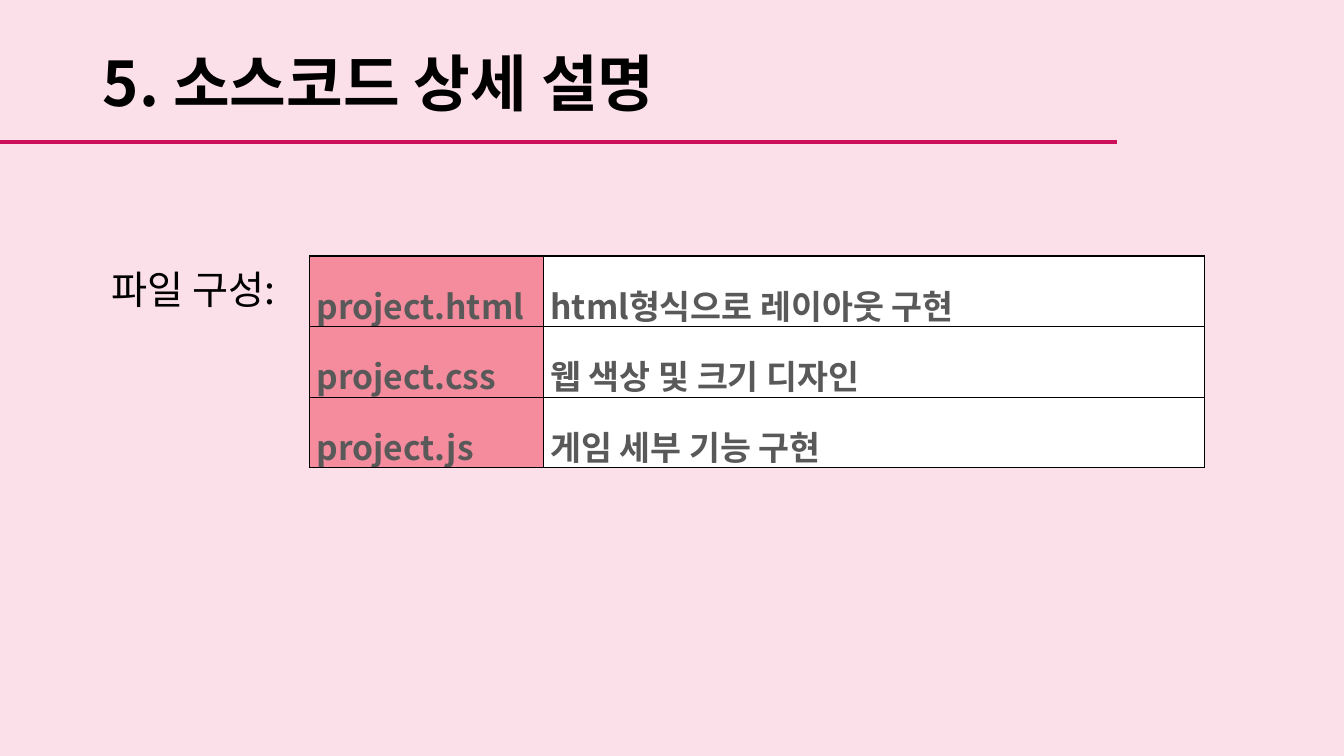
from lxml.etree import SubElement
from pptx import Presentation
from pptx.dml.color import RGBColor
from pptx.enum.shapes import MSO_CONNECTOR
from pptx.enum.text import MSO_ANCHOR
from pptx.oxml.ns import qn
from pptx.util import Inches, Pt

FONT = "Noto Sans CJK KR"
TITLE = "5. 소스코드 상세 설명"
LABEL = "파일 구성:"
FILES = [
    ("project.html", "html형식으로 레이아웃 구현"),
    ("project.css", "웹 색상 및 크기 디자인"),
    ("project.js", "게임 세부 기능 구현"),
]
COLUMN_WIDTHS = (2.32, 6.56)
COLUMN_FILLS = ("F48C9D", "FFFFFF")
ROW_HEIGHT = 0.7


def paint(fill, color):
    fill.solid()
    fill.fore_color.rgb = RGBColor.from_string(color)


def write(frame, text, size, color, bold, spacing):
    frame.word_wrap = True
    para = frame.paragraphs[0]
    para.text = text
    para.line_spacing = spacing
    font = para.font
    font.name, font.size, font.bold = FONT, Pt(size), bold
    paint(font.fill, color)
    for span in para.runs:
        SubElement(span._r.get_or_add_rPr(), qn("a:ea"), typeface=FONT)
    return para


def add_text(page, area, text, size, bold, spacing):
    box = page.shapes.add_textbox(*map(Inches, area))
    return box.text_frame, write(box.text_frame, text, size, "000000", bold, spacing)


def add_borders(cell):
    properties = cell._tc.get_or_add_tcPr()
    for position, side in enumerate(("lnL", "lnR", "lnT", "lnB")):
        border = properties.makeelement(qn(f"a:{side}"), {"w": str(Pt(1))})
        fill = SubElement(border, qn("a:solidFill"))
        SubElement(fill, qn("a:srgbClr"), val="000000")
        properties.insert(position, border)


def add_file_table(page):
    frame = page.shapes.add_table(
        len(FILES), len(COLUMN_WIDTHS), Inches(3.07), Inches(2.54),
        Inches(sum(COLUMN_WIDTHS)), Inches(ROW_HEIGHT * len(FILES)))
    table = frame.table
    table.first_row = table.horz_banding = False
    for column, width in zip(table.columns, COLUMN_WIDTHS):
        column.width = Inches(width)
    for row, texts in zip(table.rows, FILES):
        row.height = Inches(ROW_HEIGHT)
        for cell, text, color in zip(row.cells, texts, COLUMN_FILLS):
            cell.margin_left = cell.margin_right = Inches(0.07)
            cell.margin_top = cell.margin_bottom = 0
            write(cell.text_frame, text, 24, "595959", True, 1.5)
            paint(cell.fill, color)
            add_borders(cell)


def main():
    deck = Presentation()
    deck.slide_width, deck.slide_height = Inches(13.33), Inches(7.5)
    page = deck.slides.add_slide(deck.slide_layouts[6])
    paint(page.background.fill, "FCE0E9")

    title_frame, _ = add_text(page, (0.92, 0.46, 11.5, 0.8), TITLE, 44, True, 0.9)
    title_frame.vertical_anchor = MSO_ANCHOR.MIDDLE
    title_frame.margin_top = title_frame.margin_bottom = 0

    _, label = add_text(page, (1.01, 2.54, 2.15, 0.63), LABEL, 28, False, 1.1)
    label.space_before = Pt(10)

    rule = page.shapes.add_connector(
        MSO_CONNECTOR.STRAIGHT, 0, Inches(1.41), Inches(11.08), Inches(1.41))
    rule.line.width = Pt(3)
    paint(rule.line.fill, "CB0F5B")
    SubElement(rule._element.spPr, qn("a:effectLst"))

    add_file_table(page)
    deck.save("out.pptx")


if __name__ == "__main__":
    main()
